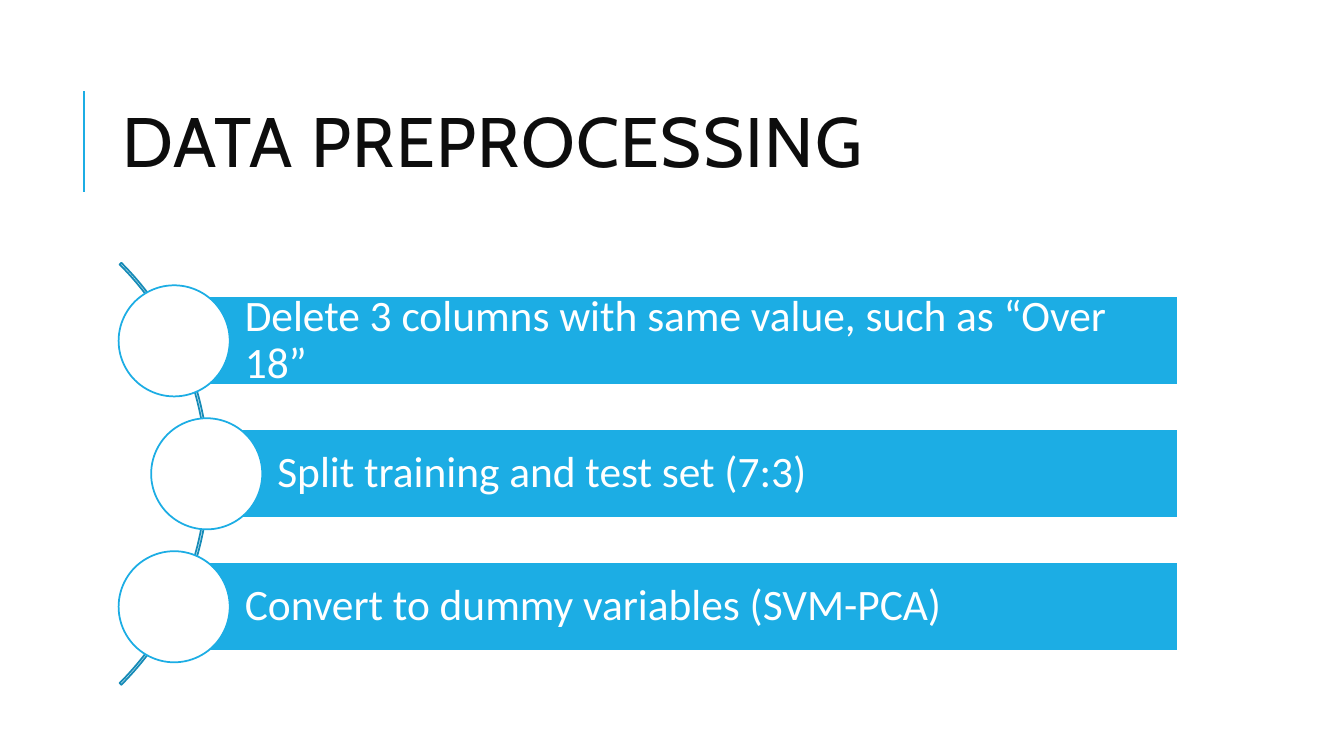
from dataclasses import dataclass

from lxml.etree import SubElement
from pptx import Presentation
from pptx.dml.color import RGBColor
from pptx.enum.shapes import MSO_CONNECTOR, MSO_SHAPE
from pptx.enum.text import MSO_ANCHOR, PP_ALIGN
from pptx.oxml.ns import qn
from pptx.util import Cm, Pt

BLUE = RGBColor(0x1C, 0xAD, 0xE4)
DARK_BLUE = RGBColor(0x16, 0x8B, 0xB7)
WHITE = RGBColor(0xFF, 0xFF, 0xFF)
INK = RGBColor(0x0D, 0x0D, 0x0D)

# Layout in centimetres
BAR_RIGHT, BAR_HEIGHT = 29.69, 2.24
CIRCLE_SIZE = 2.8
ARC_SIZE, ARC_RIGHT = 15.04, 5.26
MIDDLE_Y, ROW_STEP = 11.94, 3.35


@dataclass
class Step:
    text: str
    left: float


STEPS = [
    Step("Delete 3 columns with same value, such as “Over 18”", 4.39),
    Step("Split training and test set (7:3)", 5.21),
    Step("Convert to dummy variables (SVM-PCA)", 4.39),
]


def add_shape(slide, kind, left: float, top: float, width: float, height: float,
              *, line: RGBColor, fill: RGBColor | None = None):
    sp = slide.shapes.add_shape(kind, Cm(left), Cm(top), Cm(width), Cm(height))
    sp.shadow.inherit = False
    if fill is None:
        sp.fill.background()
    else:
        sp.fill.solid()
        sp.fill.fore_color.rgb = fill
    sp.line.color.rgb = line
    sp.line.width = Pt(1.25)
    return sp


def set_text(sp, text: str, *, font: str, size: float, color: RGBColor,
             line_spacing: float, left_inset: float = 0.25,
             tracking: int = 0) -> None:
    tf = sp.text_frame
    tf.word_wrap = True
    tf.vertical_anchor = MSO_ANCHOR.MIDDLE
    tf.margin_left = Cm(left_inset)
    p = tf.paragraphs[0]
    p.alignment = PP_ALIGN.LEFT
    p.line_spacing = line_spacing
    r = p.add_run()
    r.text = text
    r.font.name = font
    r.font.size = Pt(size)
    r.font.color.rgb = color
    if tracking:
        r.font._element.set("spc", str(tracking))


def add_title(slide, text: str) -> None:
    rule = slide.shapes.add_connector(
        MSO_CONNECTOR.STRAIGHT, Cm(2.12), Cm(4.83), Cm(2.12), Cm(2.29))
    rule.line.color.rgb = BLUE
    rule.line.width = Pt(1.5)
    SubElement(rule._element.spPr, qn("a:effectLst"))
    box = slide.shapes.add_textbox(Cm(2.84), Cm(1.63), Cm(27), Cm(4.17))
    set_text(box, text, font="Cabin", size=50, color=INK,
             line_spacing=0.8, tracking=100)


def add_arc(slide) -> None:
    arc = add_shape(slide, MSO_SHAPE.BLOCK_ARC, ARC_RIGHT - ARC_SIZE,
                    MIDDLE_Y - ARC_SIZE / 2, ARC_SIZE, ARC_SIZE, line=DARK_BLUE)
    # Start angle, end angle and band thickness
    for i, value in enumerate((189, 27, 0.004)):
        arc.adjustments[i] = value


def add_step(slide, step: Step, center_y: float) -> None:
    bar = add_shape(slide, MSO_SHAPE.RECTANGLE, step.left, center_y - BAR_HEIGHT / 2,
                    BAR_RIGHT - step.left, BAR_HEIGHT, line=WHITE, fill=BLUE)
    set_text(bar, step.text, font="Calibri", size=31, color=WHITE,
             line_spacing=0.9, left_inset=1.78)
    # The circle is centred on the bar's left edge
    radius = CIRCLE_SIZE / 2
    add_shape(slide, MSO_SHAPE.OVAL, step.left - radius, center_y - radius,
              CIRCLE_SIZE, CIRCLE_SIZE, line=BLUE, fill=WHITE)


def main() -> None:
    prs = Presentation()
    prs.slide_width, prs.slide_height = Cm(33.87), Cm(19.05)
    slide = prs.slides.add_slide(prs.slide_layouts[6])

    add_title(slide, "DATA PREPROCESSING")
    add_arc(slide)
    for i, step in enumerate(STEPS):
        add_step(slide, step, MIDDLE_Y + (i - 1) * ROW_STEP)

    prs.save("out.pptx")


if __name__ == "__main__":
    main()
